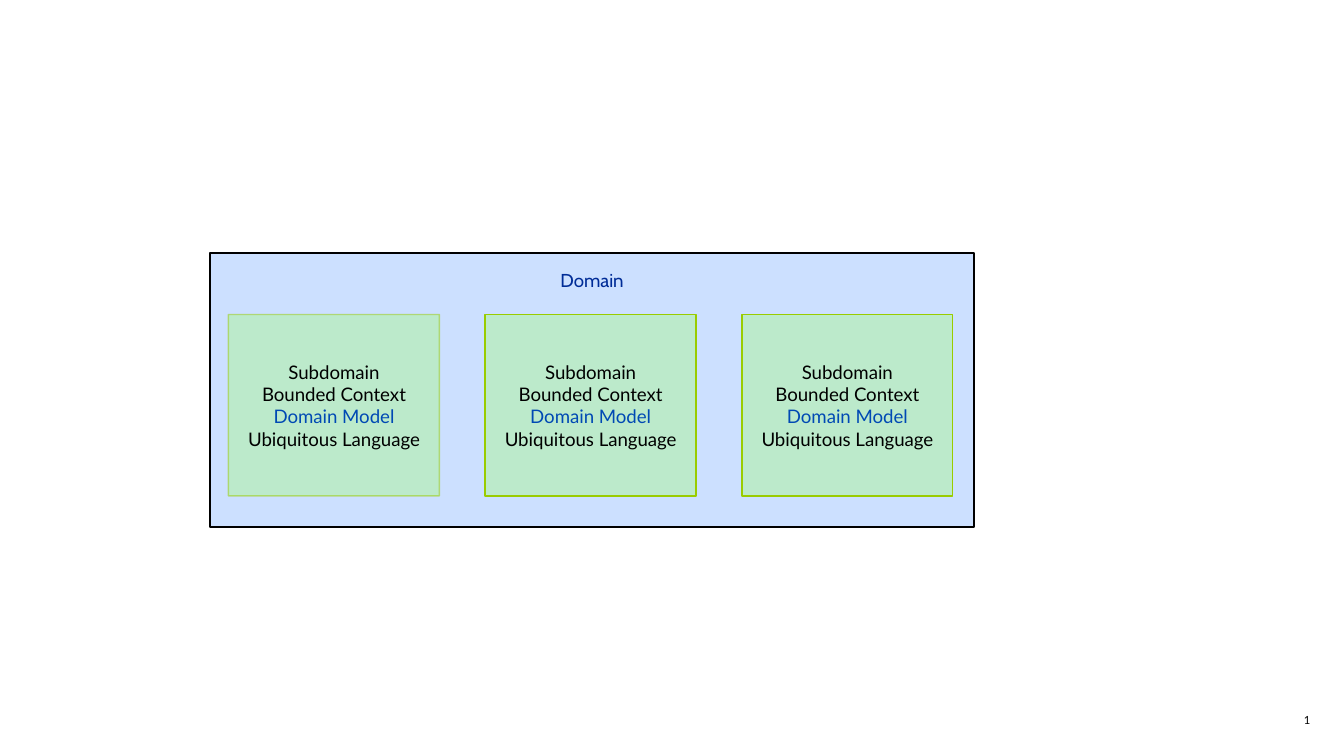
"""Build a slide showing a domain split into three subdomains."""
from lxml import etree
from pptx import Presentation
from pptx.dml.color import RGBColor
from pptx.enum.shapes import MSO_SHAPE
from pptx.enum.text import MSO_ANCHOR, PP_ALIGN
from pptx.oxml.ns import qn
from pptx.util import Inches, Pt

RECT = MSO_SHAPE.RECTANGLE
TOP, MIDDLE = MSO_ANCHOR.TOP, MSO_ANCHOR.MIDDLE
CENTER, RIGHT = PP_ALIGN.CENTER, PP_ALIGN.RIGHT

BLACK = RGBColor(0x00, 0x00, 0x00)
PALE = RGBColor(0xCC, 0xE0, 0xFF)
MINT = RGBColor(0xBC, 0xEA, 0xCB)
LIME = RGBColor(0x99, 0xCC, 0x00)
BLUE = RGBColor(0x00, 0x49, 0xB4)
NAVY = RGBColor(0x00, 0x2C, 0x97)

LINES = ["Subdomain", "Bounded Context", "Domain Model", "Ubiquitous Language"]


def write(shape, lines, font="Lato", size=10, color=BLACK, accents={},
          align=CENTER, anchor=MIDDLE, inset=(0.07, 0.04)):
    frame = shape.text_frame
    frame.word_wrap = True
    frame.vertical_anchor = anchor
    frame.margin_left = frame.margin_right = Inches(inset[0])
    frame.margin_top = frame.margin_bottom = Inches(inset[1])
    frame.text = "\n".join(lines)
    for para in frame.paragraphs:
        para.alignment = align
        run = para.runs[0]
        run.font.name = font
        run.font.size = Pt(size)
        run.font.color.rgb = accents.get(run.text, color)


def draw(left, top, width, height, fill, line, weight):
    box = slide.shapes.add_shape(
        RECT, Inches(left), Inches(top), Inches(width), Inches(height))
    box.shadow.inherit = False
    box.fill.solid()
    box.fill.fore_color.rgb = fill
    box.line.color.rgb = line
    box.line.width = Pt(weight)
    return box


deck = Presentation()
deck.slide_width = Inches(10)
deck.slide_height = Inches(10) * 9 // 16
slide = deck.slides.add_slide(deck.slide_layouts[6])

number = slide.shapes.add_textbox(
    Inches(7.5), Inches(5.28), Inches(2.25), Inches(0.15))
write(number, ["1"], size=6, align=RIGHT, inset=(0, 0))

draw(1.56, 1.88, 5.69, 2.04, PALE, BLACK, 1)

cards = []
for col in range(3):
    card = draw(1.7 + col * 1.91, 2.34, 1.57, 1.35, MINT, LIME, 0.75)
    write(card, LINES, accents={"Domain Model": BLUE})
    cards.append(card)

edge = cards[0].element.spPr.find(qn("a:ln"))
tint = edge.find(".//" + qn("a:srgbClr"))
etree.SubElement(tint, qn("a:alpha")).set("val", "49000")

title = slide.shapes.add_textbox(
    Inches(1.56), Inches(1.95), Inches(5.69), Inches(0.27))
write(title, ["Domain"], font="Cabin", color=NAVY, anchor=TOP, inset=(0.1, 0.05))

deck.save("out.pptx")
